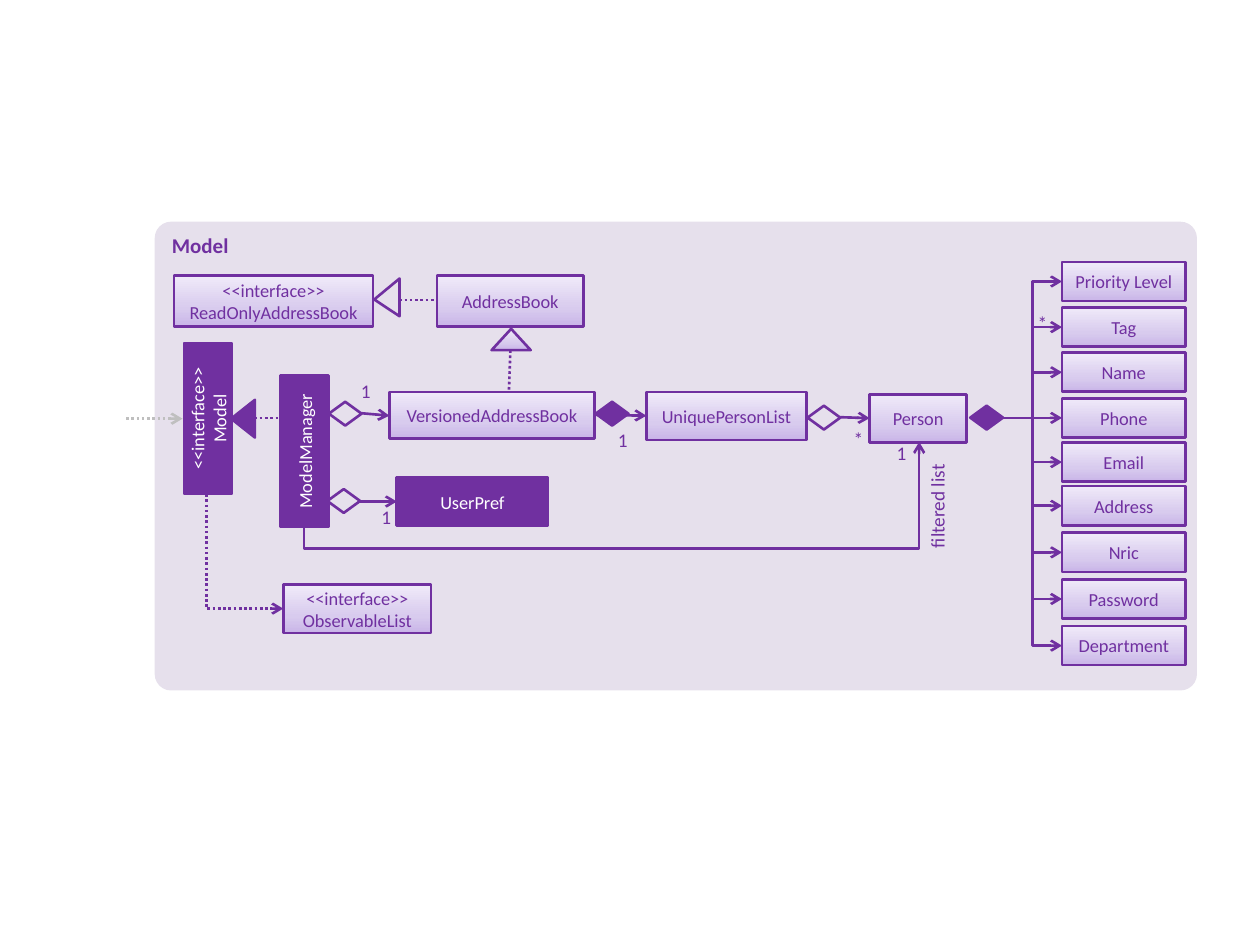
from copy import deepcopy
from pptx import Presentation
from pptx.dml.color import RGBColor as Rgb
from pptx.enum.dml import MSO_LINE as Dash
from pptx.enum.shapes import MSO_CONNECTOR as Link, MSO_SHAPE as Kind
from pptx.enum.text import MSO_ANCHOR as Anchor, PP_ALIGN as Align
from pptx.oxml.ns import qn
from pptx.util import Cm, Pt
from lxml.etree import SubElement as Sub

HUES = {"main": "7030A0", "panel": "E6E0EC", "white": "FFFFFF", "gray": "BFBFBF"}
FADE = [(0, "C9B5E8"), (0.35, "D8CBEE"), (1, "F0EAF9")]

PANEL = (3.12, 4.47, 21.01, 9.45)
SOLID = [
    ("UserPref", 8, 9.63, 0),
    ("ModelManager", 4.62, 8.61, 270),
    ("<<interface>>\nModel", 2.67, 7.95, 270),
]
BOXES = [
    ("VersionedAddressBook", 7.85, 7.9, 4.14, 0.94),
    ("UniquePersonList", 13.03, 7.9, 3.23, 0.97),
    ("Person", 17.53, 7.95, 1.96, 0.97),
    ("<<interface>>\vReadOnlyAddressBook", 3.51, 5.56, 4.01, 1.02),
    ("AddressBook", 8.81, 5.56, 2.95, 1.02),
    ("<<interface>>\vObservableList", 5.72, 11.79, 2.97, 0.97),
]
FIELDS = [
    ("Priority Level", 5.28), ("Tag", 6.2), ("Name", 7.11),
    ("Phone", 8.03), ("Email", 8.92), ("Address", 9.8),
    ("Nric", 10.74), ("Password", 11.68), ("Department", 12.62),
]
FIELD_X, FIELD_W, FIELD_H = 21.41, 2.49, 0.79
HUB = (20.22, 8.43)
GEMS = [
    (6.6, 9.86, None), (6.63, 8.1, None), (12.01, 8.1, "main"),
    (16.28, 8.18, None), (19.56, 8.18, "main"),
]
TIPS = [
    (4.52, 8.2, 0.76, 0.48, 270, "main", 0.5),
    (9.91, 6.63, 0.79, 0.43, 0, "fade", 0.5),
    (7.42, 5.74, 0.76, 0.51, 270, "panel", 0.445),
]
ARROWS = [
    (7.24, 10.11, 8, 10.11),
    (7.29, 8.33, 7.85, 8.38),
    (12.01, 8.36, 13.03, 8.38),
    (16.94, 8.41, 17.53, 8.43),
]
DOTS = [
    (5.13, 8.43, 5.74, 8.43),
    (10.29, 7.06, 10.26, 7.87),
    (8.05, 6.05, 8.81, 6.05),
]
COUNTS = [
    ("1", 12.29, 8.64), ("*", 17.04, 8.61), ("1", 7.11, 7.65),
    ("1", 7.52, 10.19), ("1", 17.91, 8.89), ("*", 20.75, 6.27),
]

deck = Presentation()
deck.slide_width, deck.slide_height = Cm(25.4), Cm(19.05)
slide = deck.slides.add_slide(deck.slide_layouts[6])
shapes = slide.shapes


def hue(name):
    return Rgb.from_string(HUES[name])


def paint(fill, name):
    if name is None:
        fill.background()
    elif name == "fade":
        fill.gradient()
        fill.gradient_angle = 90
        first = fill.gradient_stops[0]._gs
        first.addnext(deepcopy(first))
        for stop, (pos, tone) in zip(fill.gradient_stops, FADE):
            stop.position = pos
            stop.color.rgb = Rgb.from_string(tone)
    else:
        fill.solid()
        fill.fore_color.rgb = hue(name)


def write(shape, text, size, tone="main", align=Align.CENTER, bold=False):
    frame = shape.text_frame
    frame.text = text
    for par in frame.paragraphs:
        par.alignment = align
        for run in par.runs:
            font = run.font
            font.name, font.size, font.bold = "Calibri", Pt(size), bold
            font.color.rgb = hue(tone)
    return frame


def draw(kind, x, y, w, h, fill, turn=0, edge=True):
    shape = shapes.add_shape(kind, Cm(x), Cm(y), Cm(w), Cm(h))
    shape.shadow.inherit = False
    shape.rotation = turn
    paint(shape.fill, fill)
    if edge:
        shape.line.color.rgb = hue("main")
        shape.line.width = Pt(1.5)
    else:
        shape.line.fill.background()
    return shape


def box(text, x, y, w, h, fill="fade", tone="main", turn=0):
    shape = draw(Kind.RECTANGLE, x, y, w, h, fill, turn)
    frame = write(shape, text, 10.5, tone)
    frame.vertical_anchor = Anchor.MIDDLE
    frame.margin_left = frame.margin_right = 0


def join(x1, y1, x2, y2, kind=Link.STRAIGHT, tone="main", dots=False, head=True):
    wire = shapes.add_connector(kind, Cm(x1), Cm(y1), Cm(x2), Cm(y2))
    wire.line.color.rgb = hue(tone)
    wire.line.width = Pt(1.5)
    if dots:
        wire.line.dash_style = Dash.ROUND_DOT
    if head:
        Sub(wire.line._get_or_add_ln(), qn("a:tailEnd"), type="arrow")
    props = wire._element.spPr
    Sub(props, qn("a:effectLst"))
    return props


def label(text, x, y, w, h):
    area = shapes.add_textbox(Cm(x), Cm(y), Cm(w), Cm(h))
    area.text_frame.word_wrap = True
    return area, write(area, text, 11)


panel = draw(Kind.ROUNDED_RECTANGLE, *PANEL, "panel", edge=False)
panel.adjustments[0] = 0.035
write(panel, "Model", 12, align=Align.LEFT, bold=True).vertical_anchor = Anchor.TOP

for text, x, y, turn in SOLID:
    box(text, x, y, 3.05, 0.97, "main", "white", turn)
for item in BOXES:
    box(*item)

for x, y, fill in GEMS:
    draw(Kind.FLOWCHART_DECISION, x, y, 0.66, 0.48, fill)
for x, y, w, h, turn, fill, peak in TIPS:
    draw(Kind.ISOSCELES_TRIANGLE, x, y, w, h, fill, turn).adjustments[0] = peak

for ends in ARROWS:
    join(*ends)
for ends in DOTS:
    join(*ends, dots=True, head=False)
join(2.54, 8.44, 3.68, 8.44, tone="gray", dots=True)

for text, y in FIELDS:
    box(text, FIELD_X, y, FIELD_W, FIELD_H)
    join(*HUB, FIELD_X, y + FIELD_H / 2, Link.ELBOW)

loop = join(13.18, 15.96, 11.48, 3.56, Link.ELBOW)
loop.find(qn("a:xfrm")).set("rot", str(90 * 60000))
bend = loop.find(qn("a:prstGeom")).find(qn("a:avLst"))
Sub(bend, qn("a:gd"), name="adj1", fmla="val -26700")

drop = join(6.09, 10.34, 3.78, 11.89, Link.ELBOW, dots=True)
drop.find(qn("a:xfrm")).set("rot", str(270 * 60000))
drop.find(qn("a:prstGeom")).set("prst", "bentConnector2")

for text, x, y in COUNTS:
    area, frame = label(text, x, y, 0.53, 0.51)
    frame.margin_left = frame.margin_right = 0
    frame.margin_top = frame.margin_bottom = 0

area, frame = label("filtered list", 17.68, 9.96, 2.44, 0.74)
area.rotation = 270
frame.paragraphs[0].alignment = Align.RIGHT

deck.save("out.pptx")
